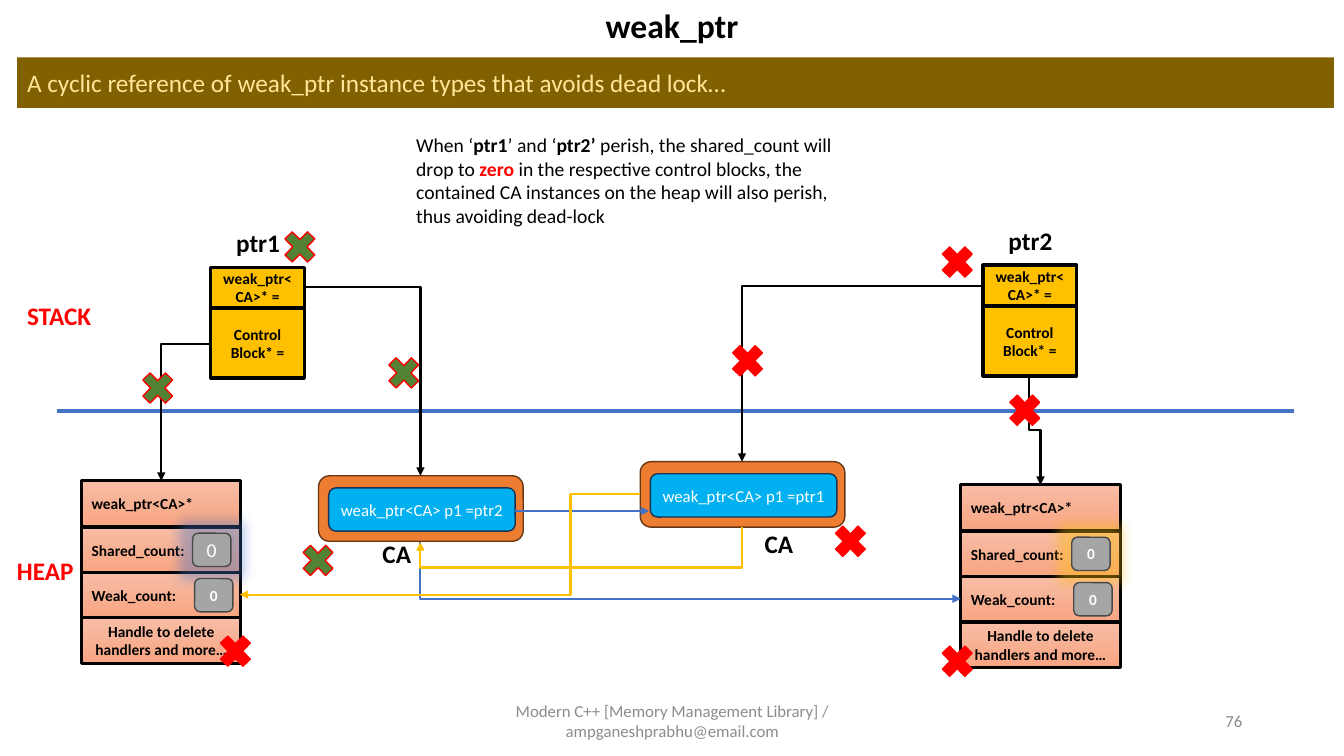
from lxml.etree import SubElement
from pptx import Presentation
from pptx.dml.color import RGBColor
from pptx.enum.shapes import MSO_CONNECTOR, MSO_SHAPE
from pptx.enum.text import MSO_ANCHOR, PP_ALIGN
from pptx.oxml.ns import qn
from pptx.util import Emu, Pt

PX = 9144
FONT = "Calibri"
COLORS = {
    "black": "000000", "white": "FFFFFF", "red": "FF0000", "green": "548235",
    "banner": "806000", "cream": "FFE699", "blue": "4472C4", "amber": "FFC000",
    "peach": "F7BDA5", "salmon": "F8A582", "gray": "A5A5A5", "gray_edge": "484848",
    "orange": "ED7D31", "orange_edge": "683715", "sky": "00B0F0", "sky_edge": "1E3256",
    "footer": "8C8C8C",
}
LEFT, CENTER, RIGHT = PP_ALIGN.LEFT, PP_ALIGN.CENTER, PP_ALIGN.RIGHT


def px(*lengths):
    return [Emu(round(length * PX)) for length in lengths]


def rgb(name):
    return RGBColor.from_string(COLORS[name])


def style_font(font, size, color, bold):
    font.name, font.size, font.bold = FONT, Pt(size), bold
    font.color.rgb = rgb(color)


def write(box, text, size, color, bold=False, align=CENTER, anchor=MSO_ANCHOR.MIDDLE):
    frame = box.text_frame
    frame.word_wrap = True
    frame.vertical_anchor = anchor
    frame.text = text
    para = frame.paragraphs[0]
    para.alignment = align
    for span in para.runs:
        style_font(span.font, size, color, bold)


def add_label(page, at, text, size=18, color="black", bold=True, align=CENTER,
              anchor=MSO_ANCHOR.TOP):
    box = page.shapes.add_textbox(*px(*at))
    write(box, text, size, color, bold, align, anchor)


def add_explanation(page, at, pieces):
    box = page.shapes.add_textbox(*px(*at))
    box.text_frame.word_wrap = True
    para = box.text_frame.paragraphs[0]
    for text, color, bold in pieces:
        span = para.add_run()
        span.text = text
        style_font(span.font, 14, color, bold)


def add_block(page, kind, at, fill, edge=None, width=1.0):
    box = page.shapes.add_shape(kind, *px(*at))
    box.shadow.inherit = False
    box.fill.solid()
    box.fill.fore_color.rgb = rgb(fill)
    if edge:
        box.line.color.rgb = rgb(edge)
        box.line.width = Pt(width)
    else:
        box.line.fill.background()
    return box


def add_glow(box, color):
    effects = box._element.spPr.find(qn("a:effectLst"))
    glow = SubElement(effects, qn("a:glow"), rad="228600")
    shade = SubElement(glow, qn("a:srgbClr"), val=COLORS[color])
    SubElement(shade, qn("a:alpha"), val="40000")


def add_pointer(page, left, top, name):
    add_label(page, (left + 12, top - 44, 70, 40), name)
    for offset, height, text in [(0, 40, "weak_ptr<CA>* ="), (41, 69, "Control Block* =")]:
        box = add_block(page, MSO_SHAPE.RECTANGLE, (left, top + offset, 93, height),
                        "amber", "black", 2.25)
        write(box, text, 11, "black", True)


def add_control_block(page, left, top, glow, shared_size, shared_bold):
    rows = [("weak_ptr<CA>*", 0, LEFT), ("Shared_count:", 46, LEFT),
            ("Weak_count:", 91, LEFT), ("Handle to delete handlers and more…", 136, CENTER)]
    for text, offset, align in rows:
        box = add_block(page, MSO_SHAPE.RECTANGLE, (left, top + offset, 158, 45),
                        "peach", "black", 2.25)
        box.fill.gradient()
        box.fill.gradient_angle = 270
        for stop, color in zip(box.fill.gradient_stops, ("peach", "salmon")):
            stop.color.rgb = rgb(color)
        write(box, text, 11, "black", True, align)
    counts = [(110, 52, shared_size, shared_bold), (112, 97, 11, True)]
    badges = []
    for across, down, size, bold in counts:
        badge = add_block(page, MSO_SHAPE.ROUNDED_RECTANGLE,
                          (left + across, top + down, 38, 33), "gray", "gray_edge")
        write(badge, "0", size, "white", bold)
        badges.append(badge)
    add_glow(badges[0], glow)


def add_instance(page, left, top, text):
    add_block(page, MSO_SHAPE.ROUNDED_RECTANGLE, (left, top, 203, 65), "orange", "orange_edge")
    member = add_block(page, MSO_SHAPE.ROUNDED_RECTANGLE, (left + 10, top + 12, 185, 43),
                       "sky", "sky_edge")
    write(member, text, 12, "white")


def add_line(page, kind, start, end, color, width):
    line = page.shapes.add_connector(kind, *px(*start, *end))
    line.line.color.rgb = rgb(color)
    line.line.width = Pt(width)
    SubElement(line._element.spPr, qn("a:effectLst"))
    return line


def add_arrow(page, kind, start, end, color):
    arrow = add_line(page, kind, start, end, color, 1.5)
    outline = arrow._element.spPr.find(qn("a:ln"))
    SubElement(outline, qn("a:tailEnd"), type="triangle")
    return arrow


def add_elbow(page, start, end, color, turn=None, vertical=False):
    run, rise = end[0] - start[0], end[1] - start[1]
    middle_x, middle_y = start[0] + run / 2, start[1] + rise / 2
    if vertical:
        run, rise = rise, -run
    arrow = add_arrow(page, MSO_CONNECTOR.ELBOW,
                      (middle_x - run / 2, middle_y - rise / 2),
                      (middle_x + run / 2, middle_y + rise / 2), color)
    properties = arrow._element.spPr
    if vertical:
        properties.find(qn("a:xfrm")).set("rot", "5400000")
    geometry = properties.find(qn("a:prstGeom"))
    if turn is None:
        geometry.set("prst", "bentConnector2")
    else:
        guides = geometry.find(qn("a:avLst"))
        share = round(turn / abs(run) * 100000)
        SubElement(guides, qn("a:gd"), name="adj1", fmla=f"val {share}")


def main():
    deck = Presentation()
    deck.slide_width, deck.slide_height = px(1333, 750)
    page = deck.slides.add_slide(deck.slide_layouts[6])

    add_label(page, (561, 0, 211, 50), "weak_ptr", 24)
    banner = add_block(page, MSO_SHAPE.RECTANGLE, (17, 57, 1306, 50), "banner")
    write(banner, "A cyclic reference of weak_ptr instance types that avoids dead lock…",
          18, "cream", align=LEFT)
    add_line(page, MSO_CONNECTOR.STRAIGHT, (57, 408), (1283, 408), "blue", 3)
    add_label(page, (17, 293, 90, 40), "STACK", color="red", align=LEFT)
    add_label(page, (7, 546, 90, 40), "HEAP", color="red", align=LEFT)
    add_explanation(page, (403, 127, 464, 104), [
        ("When ‘", "black", False), ("ptr1", "black", True),
        ("’ and ‘", "black", False), ("ptr2’", "black", True),
        (" perish, the shared_count will drop to ", "black", False), ("zero", "red", True),
        (" in the respective control blocks, the contained CA instances on the heap "
         "will also perish, thus avoiding dead-lock", "black", False),
    ])

    add_pointer(page, 209, 265, "ptr1")
    add_pointer(page, 975, 263, "ptr2")
    add_control_block(page, 81, 477, "blue", 14, False)
    add_control_block(page, 953, 481, "amber", 11, True)
    add_instance(page, 316, 472, "weak_ptr<CA> p1 =ptr2")
    add_instance(page, 635, 458, "weak_ptr<CA> p1 =ptr1")
    for left, top in [(363, 529), (742, 519)]:
        add_label(page, (left, top, 61, 40), "CA")

    add_elbow(page, (302, 285), (417, 472), "black")
    add_elbow(page, (209, 341), (160, 477), "black")
    add_elbow(page, (975, 284), (736, 458), "black")
    add_elbow(page, (1021, 374), (1032, 481), "black", turn=53, vertical=True)
    add_arrow(page, MSO_CONNECTOR.STRAIGHT, (511, 507), (644, 507), "blue")
    add_elbow(page, (417, 538), (953, 594), "blue", vertical=True)
    add_elbow(page, (736, 523), (417, 538), "amber", turn=40, vertical=True)
    add_elbow(page, (635, 490), (238, 590), "amber", turn=69)

    crosses = {
        "green": [(276, 223), (379, 348), (294, 534), (135, 363)],
        "red": [(995, 385), (822, 515), (928, 238), (720, 336), (212, 624), (928, 634)],
    }
    for color, places in crosses.items():
        for left, top in places:
            add_block(page, MSO_SHAPE.MATH_MULTIPLY, (left, top, 43, 44), color, "red")

    add_label(page, (442, 695, 450, 40),
              "Modern C++ [Memory Management Library] / ampganeshprabhu@email.com",
              12, "footer", False, CENTER, MSO_ANCHOR.MIDDLE)
    add_label(page, (942, 695, 300, 40), "76", 12, "footer", False, RIGHT, MSO_ANCHOR.MIDDLE)
    deck.save("out.pptx")


if __name__ == "__main__":
    main()
